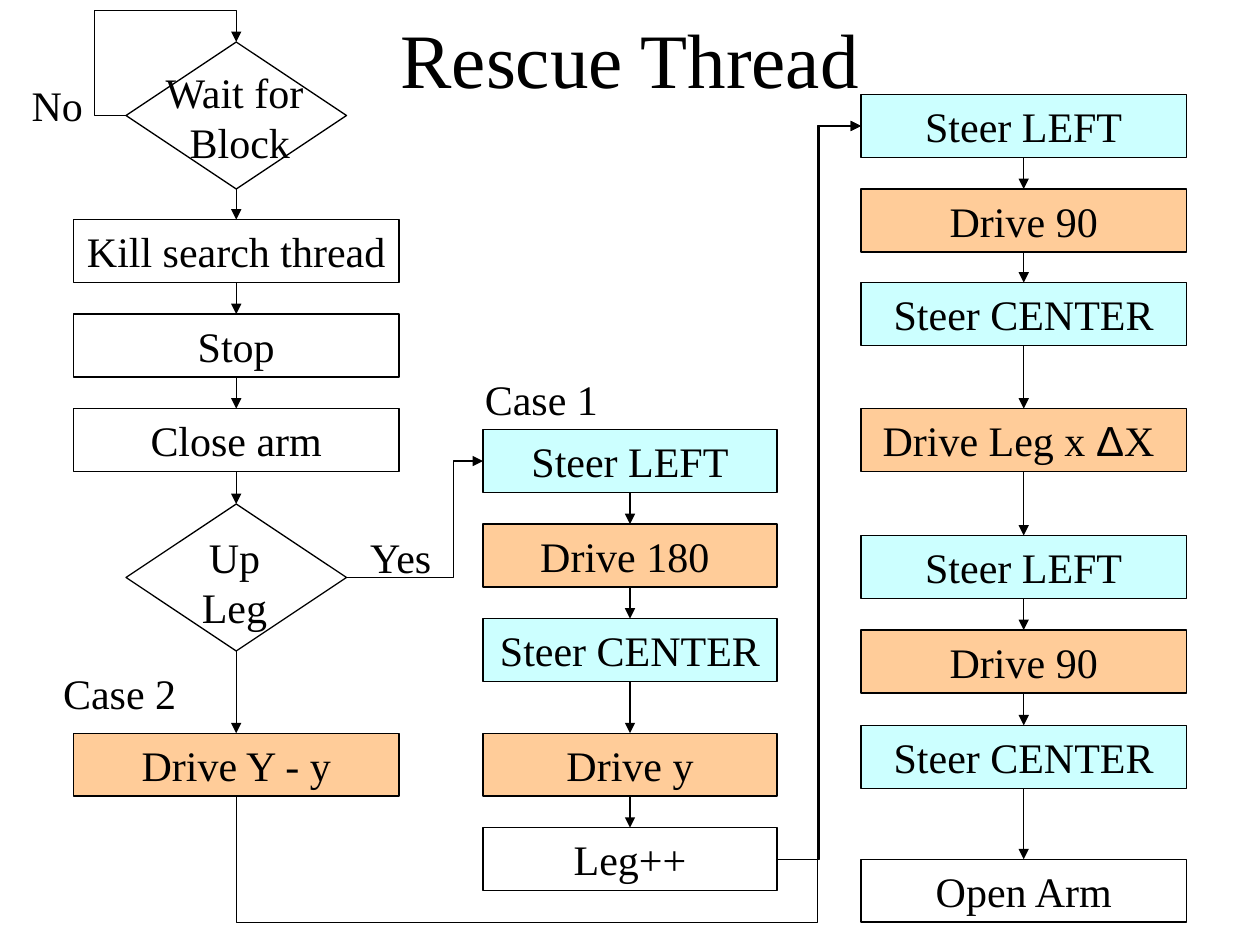
from dataclasses import dataclass
from lxml import etree
from pptx import Presentation
from pptx.dml.color import RGBColor
from pptx.enum.shapes import MSO_CONNECTOR, MSO_SHAPE
from pptx.enum.text import MSO_ANCHOR, PP_ALIGN
from pptx.oxml.ns import qn
from pptx.util import Pt

STRAIGHT, ELBOW = MSO_CONNECTOR.STRAIGHT, MSO_CONNECTOR.ELBOW
RECT, DIAMOND = MSO_SHAPE.RECTANGLE, MSO_SHAPE.FLOWCHART_DECISION
TOP, MIDDLE = MSO_ANCHOR.TOP, MSO_ANCHOR.MIDDLE
LEFT, CENTER = PP_ALIGN.LEFT, PP_ALIGN.CENTER
NORTH, WEST, SOUTH, EAST = range(4)


@dataclass(frozen=True)
class Theme:
    ink: str = "000000"
    steer: str = "CCFFFF"
    drive: str = "FFCC99"
    font: str = "Times New Roman"
    greek: str = "Arial"
    title: int = 44
    body: int = 24
    line: float = 0.75


THEME = Theme()
BOX_H = 36
GEM_W, GEM_H = 126, 84

COLUMNS = [
    (42, 186, [
        ("wait", 24, None),
        ("kill", 125.5, "Kill search thread"),
        ("stop", 179.5, "Stop"),
        ("close", 233.5, "Close arm"),
        ("up", 288, None),
        ("rest", 419, "Drive Y - y"),
    ]),
    (276, 168, [
        ("case", 245.5, "Steer LEFT"),
        ("back", 299.5, "Drive 180 "),
        ("front", 353.5, "Steer CENTER"),
        ("down", 419, "Drive y"),
        ("count", 473, "Leg++"),
    ]),
    (492, 186, [
        ("turn", 54, "Steer LEFT"),
        ("side", 108, "Drive 90"),
        ("mid", 161.5, "Steer CENTER"),
        ("cross", 233.5, "Drive Leg x ΔX "),
        ("again", 306, "Steer LEFT"),
        ("home", 360, "Drive 90"),
        ("last", 414.5, "Steer CENTER"),
        ("open", 491, "Open Arm"),
    ]),
]

LABELS = [
    ("Up\nLeg", 108, 300, 52, 65, CENTER),
    ("Wait for \nBlock", 86.5, 34.5, 101, 65, CENTER),
    ("Case 1", 270, 210, 79, 36, LEFT),
    ("Case 2", 29, 378, 79, 36, LEFT),
    ("No", 11, 42, 44, 36, LEFT),
    ("Yes", 204.5, 300, 52, 36, LEFT),
]

ROUTES = [
    ("wait", WEST, "wait", NORTH, "bentConnector4", (-0.286, 1.428), False),
    ("up", EAST, "case", WEST, "bentConnector3", (0.787,), False),
    ("count", EAST, "turn", WEST, "bentConnector3", (0.5,), False),
    ("rest", SOUTH, "turn", WEST, "bentConnector4", (-0.189, 0.93), True),
]


def write(shape, text, size, align, anchor, wrap):
    frame = shape.text_frame
    frame.text = text
    frame.word_wrap = wrap
    frame.vertical_anchor = anchor
    for para in frame.paragraphs:
        para.alignment = align
        words = para.text
        head, mark, tail = words.partition("Δ")
        para.text = head
        for part in (mark, tail):
            if part:
                para.add_run().text = part
        for run in para.runs:
            run.font.name = THEME.greek if run.text == "Δ" else THEME.font
            run.font.size = Pt(size)
            run.font.color.rgb = RGBColor.from_string(THEME.ink)


def label(slide, text, x, y, w, h, align, size=THEME.body, anchor=TOP, wrap=False):
    box = slide.shapes.add_textbox(Pt(x), Pt(y), Pt(w), Pt(h))
    write(box, text, size, align, anchor, wrap)


def stroke(line):
    line.color.rgb = RGBColor.from_string(THEME.ink)
    line.width = Pt(THEME.line)


def step(slide, x, y, w, text):
    if text is None:
        kind, x, w, h = DIAMOND, x + (w - GEM_W) / 2, GEM_W, GEM_H
    else:
        kind, h = RECT, BOX_H
    shape = slide.shapes.add_shape(kind, Pt(x), Pt(y), Pt(w), Pt(h))
    shape.shadow.inherit = False
    stroke(shape.line)
    verb = (text or "").split(" ")[0]
    fill = {"Steer": THEME.steer, "Drive": THEME.drive}.get(verb)
    if fill:
        shape.fill.solid()
        shape.fill.fore_color.rgb = RGBColor.from_string(fill)
    else:
        shape.fill.background()
    if text:
        write(shape, text, THEME.body, CENTER, TOP, True)
    return shape


def join(slide, kind, start, exit, end, entry):
    link = slide.shapes.add_connector(kind, 0, 0, 0, 0)
    link.begin_connect(start, exit)
    link.end_connect(end, entry)
    stroke(link.line)
    etree.SubElement(link.line._get_or_add_ln(), qn("a:tailEnd"), type="triangle")
    etree.SubElement(link._element.spPr, qn("a:effectLst"))
    return link


def bend(link, preset, ratios, turned):
    props = link._element.spPr
    geom = props.find(qn("a:prstGeom"))
    geom.set("prst", preset)
    guides = geom.find(qn("a:avLst"))
    if guides is None:
        guides = etree.SubElement(geom, qn("a:avLst"))
    for num, ratio in enumerate(ratios, 1):
        value = f"val {round(ratio * 100000)}"
        etree.SubElement(guides, qn("a:gd"), name=f"adj{num}", fmla=value)
    if turned:
        x, y, w, h = link.left, link.top, link.width, link.height
        link.left, link.top = x + (w - h) // 2, y + (h - w) // 2
        link.width, link.height = h, w
        form = props.find(qn("a:xfrm"))
        for name, value in (("rot", "5400000"), ("flipH", "1"), ("flipV", "1")):
            form.set(name, value)


def main():
    deck = Presentation()
    deck.slide_width, deck.slide_height = Pt(720), Pt(540)
    slide = deck.slides.add_slide(deck.slide_layouts[6])
    label(slide, "Rescue Thread", 54, -12, 612, 90, CENTER, THEME.title, MIDDLE, True)
    steps = {}
    for x, w, rows in COLUMNS:
        for name, y, text in rows:
            steps[name] = step(slide, x, y, w, text)
        for (start, *_), (end, *_) in zip(rows, rows[1:]):
            join(slide, STRAIGHT, steps[start], SOUTH, steps[end], NORTH)
    for start, exit, end, entry, *shape in ROUTES:
        bend(join(slide, ELBOW, steps[start], exit, steps[end], entry), *shape)
    for item in LABELS:
        label(slide, *item)
    deck.save("out.pptx")


if __name__ == "__main__":
    main()
